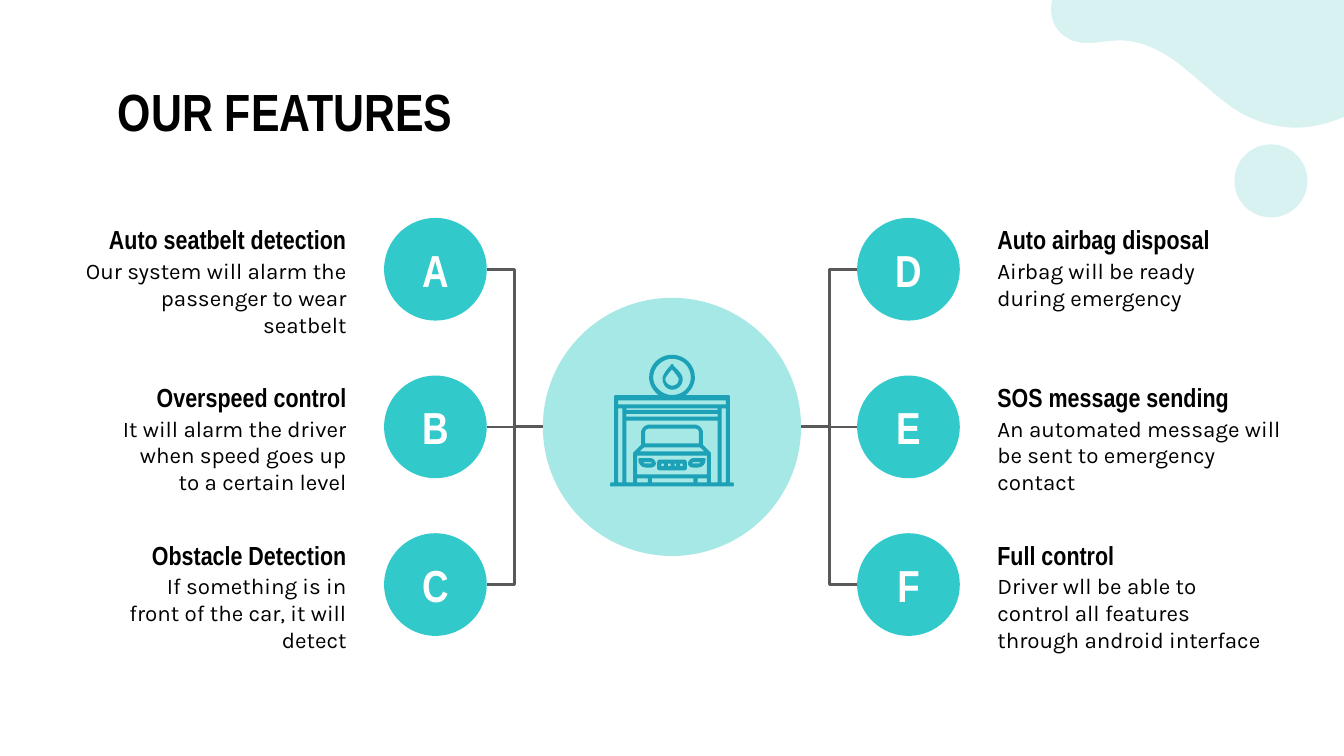
"""Build the features slide: a central hub joined to six lettered items."""
from lxml.etree import SubElement
from pptx import Presentation
from pptx.dml.color import RGBColor
from pptx.enum.shapes import MSO_CONNECTOR, MSO_SHAPE
from pptx.enum.text import MSO_ANCHOR, PP_ALIGN
from pptx.oxml.ns import qn
from pptx.util import Cm, Pt

HEAD, BODY = "Arial Narrow", "Karla"
PALE, HUB, TEAL, ICON, GRAY = "D7F2F0", "A6E8E6", "32C9CB", "1CA1B7", "595959"
BLACK, WHITE = "000000", "FFFFFF"

TITLE = "OUR FEATURES"
LEFT = [
    ("A", "Auto seatbelt detection", 5.46,
     "Our system will alarm the passenger to wear seatbelt", 5.46),
    ("B", "Overspeed control", 4.83,
     "It will alarm the driver when speed goes up to a certain level", 4.83),
    ("C", "Obstacle Detection", 4.83,
     "If something is in front of the car, it will detect", 4.83),
]
RIGHT = [
    ("D", "Auto airbag disposal", 4.83,
     "Airbag will be ready during emergency", 4.83),
    ("E", "SOS message sending", 5.1,
     "An automated message will be sent to emergency contact", 6.05),
    ("F", "Full control", 4.83,
     "Driver wll be able to control all features through android interface", 5.64),
]

BLOB = """M 1000 0 L 1000 87 C 988 92 976 95 964 95 C 952 95 939 92 927 86
C 911 78 898 64 884 53 C 870 41 854 31 835 30 C 826 30 817 32 809 32
C 804 32 798 31 794 28 C 784 23 780 10 783 0"""
SIGN = """M 500 267 C 508 267 514 273 514 281 C 514 288 508 294 500 294
C 493 294 486 288 486 281 C 486 273 493 267 500 267"""
DOOR = """R 460 298 540 301 R 466 304 534 305 R 466 308 534 310
R 460 304 463 359 R 537 304 540 359"""
CAR = """M 517 319 C 519 319 520 320 520 322 L 520 330 L 480 330 L 480 322
C 480 320 481 319 483 319
M 521 333 L 524 336 L 476 336 L 479 333 R 474 339 526 353
M 534 313 L 534 359 L 529 359 L 529 337 L 523 331 L 523 322
C 523 319 520 316 517 316 L 483 316 C 480 316 477 319 477 322
L 477 331 L 471 337 L 471 359 L 466 359 L 466 313
R 474 356 482 359 R 485 356 516 359 R 519 356 526 359"""
GARAGE = """M 500 264 C 491 264 483 271 483 281 C 483 286 486 291 490 294
L 458 294 C 457 294 457 295 457 296 L 457 359 L 455 359
C 454 359 454 360 454 361 C 454 362 454 362 455 362 L 545 362
C 545 362 546 362 546 361 C 546 360 546 359 545 359 L 543 359 L 543 296
C 543 295 543 294 542 294 L 510 294 C 514 291 517 286 517 281
C 517 271 509 264 500 264"""
LAMP = """M 484 344 C 484 344 485 344 485 345 C 485 345 484 345 484 345
L 481 345 C 480 345 479 345 479 344
M 477 341 C 476 341 475 341 475 342 C 475 346 478 348 481 348 L 484 348
C 486 348 488 347 488 345 C 488 343 486 341 484 341"""
PLATE = """R 492 345 494 347 R 497 345 499 347 R 502 345 503 347 R 506 345 508 347
M 491 342 C 490 342 489 343 489 344 L 489 349 C 489 349 490 350 491 350
L 509 350 C 510 350 511 349 511 349 L 511 344 C 511 343 510 342 509 342"""
DROP = """M 500 275 C 502 277 505 281 505 282 C 505 285 503 287 500 287
C 498 287 495 285 495 282 C 495 281 498 277 500 275
M 500 271 C 500 271 499 271 499 272 C 498 273 493 278 493 282
C 493 286 496 290 500 290 C 505 290 508 286 508 282
C 508 278 502 273 501 272 C 501 271 501 271 500 271"""

W, H = 25.4, 14.29
CX, CY, HUB_R = W / 2, 8.07, 2.44
PITCH, DOT_R, DOT_DX = 2.98, 0.97, 4.47
TEXT_EDGE = 6.8
UNIT = Cm(0.0254)


def rgb(color):
    return RGBColor.from_string(color)


def paint(sp, color):
    sp.fill.solid()
    sp.fill.fore_color.rgb = rgb(color)
    sp.line.fill.background()
    sp.shadow.inherit = False


def write(sp, text, size=12, font=BODY, color=BLACK, bold=False,
          align=PP_ALIGN.LEFT, anchor=MSO_ANCHOR.TOP):
    tf = sp.text_frame
    tf.word_wrap = True
    tf.vertical_anchor = anchor
    tf.margin_left = tf.margin_right = tf.margin_top = tf.margin_bottom = Cm(0.25)
    p = tf.paragraphs[0]
    p.alignment = align
    r = p.add_run()
    r.text = text
    r.font.size, r.font.name, r.font.bold = Pt(size), font, bold
    r.font.color.rgb = rgb(color)


def box(s, x, y, w, h, text, **fmt):
    write(s.shapes.add_textbox(Cm(x), Cm(y), Cm(w), Cm(h)), text, **fmt)


def disc(s, x, y, radius, color):
    sp = s.shapes.add_shape(MSO_SHAPE.OVAL, Cm(x - radius), Cm(y - radius),
                            Cm(2 * radius), Cm(2 * radius))
    paint(sp, color)
    return sp


def bezier(a, b, c, d, steps=10):
    for t in (i / steps for i in range(1, steps + 1)):
        u = 1 - t
        yield tuple(u**3 * m + 3 * u * u * t * n + 3 * u * t * t * o + t**3 * q
                    for m, n, o, q in zip(a, b, c, d))


def contours(outline_text):
    words, result = iter(outline_text.split()), []
    pairs = {"M": 1, "L": 1, "C": 3, "R": 2}
    for cmd in words:
        pts = [(int(next(words)), int(next(words))) for _ in range(pairs[cmd])]
        if cmd == "M":
            result.append(pts)
        elif cmd == "R":
            (x0, y0), (x1, y1) = pts
            result.append([(x0, y0), (x1, y0), (x1, y1), (x0, y1)])
        elif cmd == "C":
            result[-1].extend(list(bezier(result[-1][-1], *pts)))
        else:
            result[-1].extend(pts)
    return result


def outline(s, parts, color, mirror=False):
    fb = None
    for contour in contours(" ".join(parts)):
        pts = [((1000 - x if mirror else x) * UNIT, y * UNIT) for x, y in contour]
        if fb is None:
            fb = s.shapes.build_freeform(*pts[0])
        else:
            fb.move_to(*pts[0])
        fb.add_line_segments(pts[1:], close=True)
    paint(fb.convert_to_shape(), color)


def link(s, x0, y0, x1, y1):
    kind = MSO_CONNECTOR.STRAIGHT if y0 == y1 else MSO_CONNECTOR.ELBOW
    sp = s.shapes.add_connector(kind, Cm(x0), Cm(y0), Cm(x1), Cm(y1))
    sp.line.color.rgb = rgb(GRAY)
    sp.line.width = Pt(1.5)
    SubElement(sp._element.spPr, qn("a:effectLst"))


def column(s, items, side):
    align = PP_ALIGN.RIGHT if side < 0 else PP_ALIGN.LEFT
    x = CX + side * DOT_DX
    for i, (letter, head, head_w, body, body_w) in enumerate(items):
        y = CY + (i - 1) * PITCH
        write(disc(s, x, y, DOT_R, TEAL), letter, size=24, font=HEAD, color=WHITE,
              bold=True, align=PP_ALIGN.CENTER, anchor=MSO_ANCHOR.MIDDLE)
        link(s, CX + side * HUB_R, CY, x - side * DOT_R, y)
        for text, w, dy, h, fmt in (
                (head, head_w, -1.11, 1.09, dict(size=14, font=HEAD, bold=True)),
                (body, body_w, -0.48, 1.6, {})):
            left = TEXT_EDGE - w if side < 0 else W - TEXT_EDGE
            box(s, left, y + dy, w, h, text, align=align, **fmt)


def main():
    prs = Presentation()
    prs.slide_width, prs.slide_height = Cm(W), Cm(H)
    s = prs.slides.add_slide(prs.slide_layouts[6])
    disc(s, 24.02, 3.42, 0.69, PALE)
    outline(s, [BLOB], PALE)
    box(s, 1.98, 1.24, 21.44, 1.6, TITLE, size=28, font=HEAD, bold=True)
    disc(s, CX, CY, HUB_R, HUB)
    for parts in ([SIGN, DOOR, CAR, GARAGE], [LAMP], [PLATE], [DROP]):
        outline(s, parts, ICON)
    outline(s, [LAMP], ICON, mirror=True)
    column(s, LEFT, -1)
    column(s, RIGHT, 1)
    prs.save("out.pptx")


if __name__ == "__main__":
    main()
